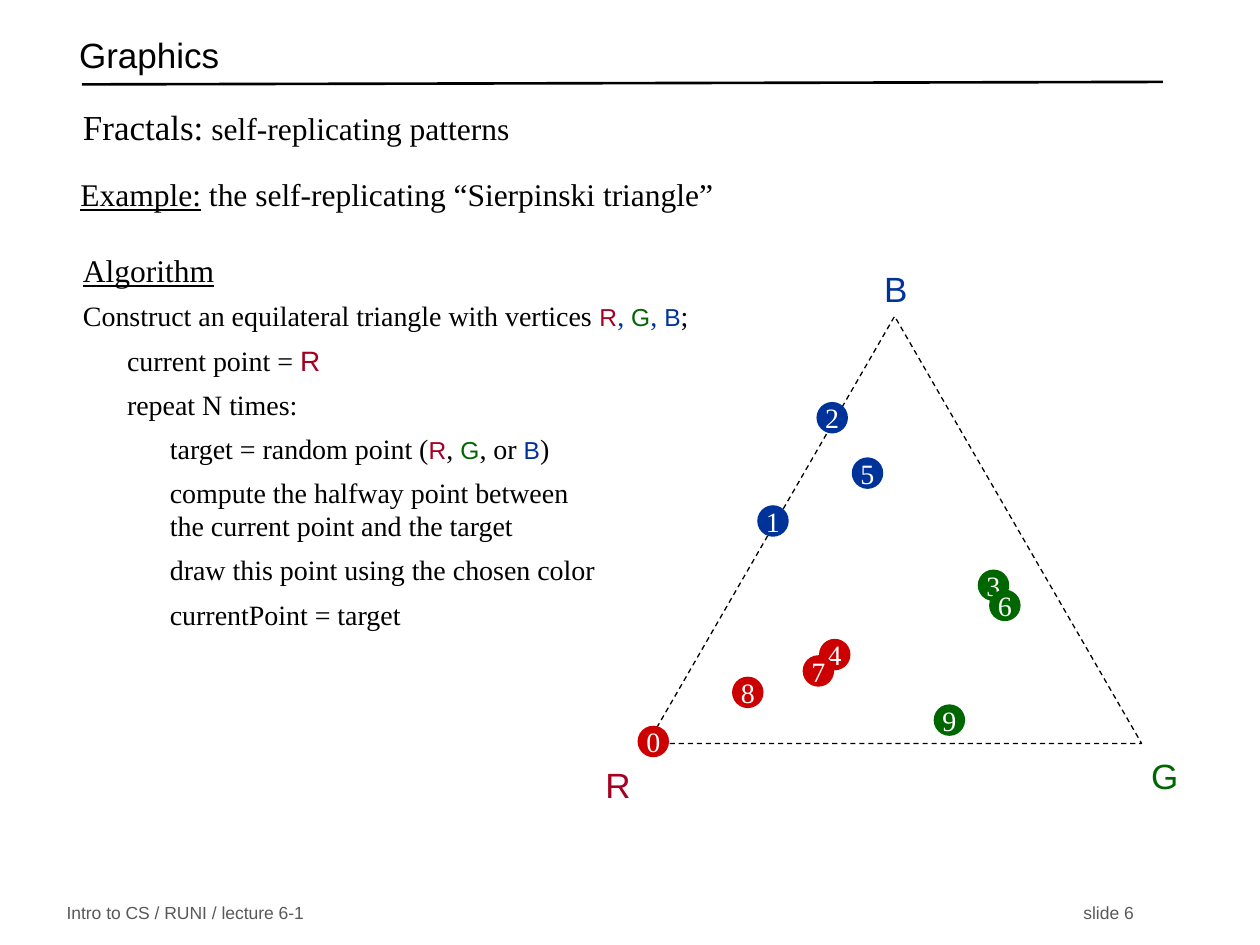
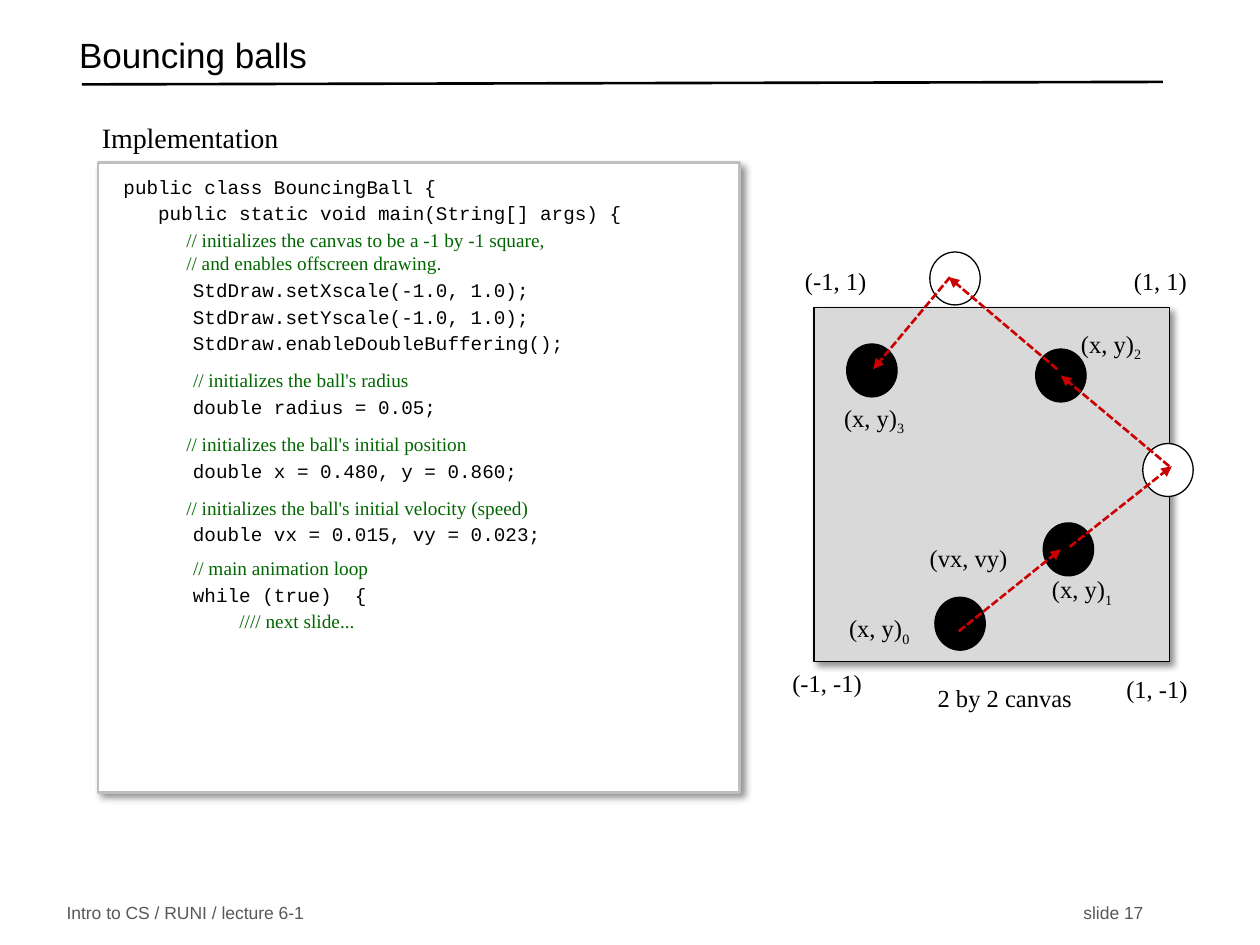
"""Builds two lecture slides: the Sierpinski triangle and the bouncing ball."""
from lxml import etree
from pptx import Presentation, util as u
from pptx.dml.color import RGBColor
from pptx.enum import dml, shapes, text
from pptx.oxml.ns import qn

COLUMNS, ROWS = 100, 75
SERIF, SANS, MONO = "Times New Roman", "Arial", "Courier New"
BLACK, WHITE, GREY = "000000", "FFFFFF", "595959"
RED, CRIMSON, GREEN, BLUE = "CC0000", "A50021", "006600", "003399"
VERTEX_COLORS = {"R": CRIMSON, "G": GREEN, "B": BLUE}
TEXT_INSETS = (1, 0.5, 1, 0.5)


def paint(hex_color):
    """Turn a hex string into a colour."""
    return RGBColor.from_string(hex_color)


def write(paragraph, words, font=SERIF, size=16, color=BLACK, underline=None, baseline=None):
    """Add formatted words to a paragraph, breaking lines at newlines."""
    for number, line in enumerate(words.split("\n")):
        if number:
            paragraph.add_line_break()
        run = paragraph.add_run()
        run.text = line
        run.font.name, run.font.size = font, u.Pt(size)
        run.font.color.rgb = paint(color)
        run.font.underline = underline
        if baseline:
            run.font._element.set("baseline", str(baseline * 1000))


def vertex(letter, size=14):
    """Describe a vertex letter in its own colour."""
    return letter, dict(font=SANS, size=size, color=VERTEX_COLORS[letter])


class Deck:
    """Holds the style, the grid and the current slide."""

    def __init__(self):
        """Open an empty deck with its grid."""
        self.show = Presentation()
        self.show.slide_width, self.show.slide_height = u.Inches(10), u.Inches(7.5)
        self.column = self.show.slide_width / COLUMNS
        self.row = self.show.slide_height / ROWS

    def place(self, *lengths):
        """Turn alternating columns and rows into lengths."""
        units = (self.column, self.row)
        return [u.Emu(round(length * units[i % 2])) for i, length in enumerate(lengths)]

    def page(self, title, number):
        """Start a slide with its title, rule and footer."""
        self.slide = self.show.slides.add_slide(self.show.slide_layouts[6])
        self.line((6.5, 6.7), (92.3, 6.5), BLACK)
        footer = dict(font=SANS, size=10, color=GREY)
        for left, width, words in ((4.3, 40, "Intro to CS / RUNI / lecture 6-1"),
                                   (85, 10, f"slide {number}")):
            self.box((left, 71.4, width, 2.1), [([(words, footer)], {})], middle=True)
        self.box((5.3, 2.2, 86, 5), [([(title, dict(font=SANS, size=20))], dict(spacing=0.7))],
                 middle=True)

    def fill_text(self, frame, paragraphs, middle=False, wrap=True, center=False,
                  insets=TEXT_INSETS):
        """Set paragraphs, each a list of runs and a layout, in a frame."""
        frame.word_wrap = wrap
        frame.vertical_anchor = text.MSO_ANCHOR.MIDDLE if middle else text.MSO_ANCHOR.TOP
        (frame.margin_left, frame.margin_top,
         frame.margin_right, frame.margin_bottom) = self.place(*insets)
        for number, (runs, layout) in enumerate(paragraphs):
            paragraph = frame.add_paragraph() if number else frame.paragraphs[0]
            paragraph.alignment = text.PP_ALIGN.CENTER if center else text.PP_ALIGN.LEFT
            if "indent" in layout:
                properties = paragraph._p.get_or_add_pPr()
                properties.set("marL", str(self.place(layout["indent"])[0]))
                properties.set("indent", "0")
            if "spacing" in layout:
                paragraph.line_spacing = layout["spacing"]
            if number:
                paragraph.space_before = u.Pt(layout.get("before", 0))
            for words, style in runs:
                write(paragraph, words, **style)

    def box(self, area, paragraphs, **layout):
        """Add a text box."""
        frame = self.slide.shapes.add_textbox(*self.place(*area)).text_frame
        self.fill_text(frame, paragraphs, **layout)

    def label(self, area, words, index=None, **style):
        """Add a one-line label with an optional subscript."""
        style = dict(size=14) | style
        runs = [(words, style)]
        if index is not None:
            runs.append((str(index), style | dict(baseline=-25)))
        self.box(area, [(runs, {})], wrap=False)

    def shape(self, kind, area, fill=None, line=None, width=0.75, dash=None, shadow=False):
        """Add a preset shape."""
        shape = self.slide.shapes.add_shape(kind, *self.place(*area))
        shape.shadow.inherit = False
        if fill:
            shape.fill.solid()
            shape.fill.fore_color.rgb = paint(fill)
        else:
            shape.fill.background()
        if line:
            shape.line.color.rgb, shape.line.width = paint(line), u.Pt(width)
            shape.line.dash_style = dash
        else:
            shape.line.fill.background()
        if shadow:
            effects = shape._element.spPr.find(qn("a:effectLst"))
            cast = etree.SubElement(effects, qn("a:outerShdw"), blurRad=str(u.Pt(4)),
                                    dist=str(u.Pt(3)), dir="2700000", algn="tl", rotWithShape="0")
            tint = etree.SubElement(cast, qn("a:srgbClr"), val=BLACK)
            etree.SubElement(tint, qn("a:alpha"), val="43000")
        return shape

    def line(self, start, end, color, arrow=False):
        """Add a straight line or a dashed arrow."""
        line = self.slide.shapes.add_connector(shapes.MSO_CONNECTOR.STRAIGHT,
                                               *self.place(*start, *end))
        line.line.color.rgb, line.line.width = paint(color), u.Pt(1.5)
        if arrow:
            line.line.dash_style = dml.MSO_LINE.SQUARE_DOT
            etree.SubElement(line.line._get_or_add_ln(), qn("a:tailEnd"), type="triangle")
        etree.SubElement(line._element.spPr, qn("a:effectLst"))


def fractals(deck):
    """Build the Sierpinski triangle slide."""
    deck.page("Graphics", 6)
    deck.box((5.6, 7.6, 85.6, 5.6), [([("Fractals:", dict(size=20)),
             (" self-replicating patterns", dict(size=18))], dict(spacing=u.Pt(26)))])
    deck.box((5.4, 13.4, 85.8, 4.7), [([("Example:", dict(size=18, underline=True)),
             (" the self-replicating “Sierpinski triangle”", dict(size=18))], {})])

    first, second = dict(indent=3.5, before=6), dict(indent=6.9, before=6)
    blue_comma = (", ", dict(color=BLUE))
    algorithm = [
        ([("Algorithm", dict(size=18, underline=True))], {}),
        ([("Construct an equilateral triangle with vertices ", {}), vertex("R"), blue_comma,
          vertex("G"), blue_comma, vertex("B"), (";", {})], dict(before=6)),
        ([("current point = ", {}), vertex("R", 16)], first),
        ([("repeat N times:", {})], first),
        ([("target = random point (", {}), vertex("R"), (", ", {}), vertex("G"),
          (", or ", {}), vertex("B"), (")", {})], second)]
    algorithm += [([(step, {})], second) for step in (
        "compute the halfway point between\nthe current point and the target",
        "draw this point using the chosen color",
        "currentPoint = target")]
    deck.box((5.6, 19.4, 54.5, 38), algorithm)

    deck.shape(shapes.MSO_SHAPE.ISOSCELES_TRIANGLE, (51.4, 25.1, 39.2, 33.9),
               line=BLACK, dash=dml.MSO_LINE.DASH)
    for letter, left, top, width in (("R", 43.2, 60.1, 11.7), ("G", 90.3, 59.4, 4.3),
                                     ("B", 67.4, 20.7, 7.4)):
        deck.box((left, top, width, 4.4), [([vertex(letter, 20)], {})], center=True)
    steps = ((50.6, 57.6, RED), (60.1, 40.1, BLUE), (64.8, 31.9, BLUE), (77.6, 45.2, GREEN),
             (65, 50.7, RED), (67.6, 36.3, BLUE), (78.5, 46.8, GREEN), (63.7, 52, RED),
             (58.1, 53.7, RED), (74.1, 55.9, GREEN))
    for number, (left, top, color) in enumerate(steps):
        point = deck.shape(shapes.MSO_SHAPE.OVAL, (left, top, 2.5, 2.5), color)
        deck.fill_text(point.text_frame, [([(str(number), dict(color=WHITE))], {})],
                       middle=True, wrap=False, center=True)


CODE = """public class BouncingBall {
   public static void main(String[] args) {
             // initializes the canvas to be a -1 by -1 square,
             // and enables offscreen drawing.
      StdDraw.setXscale(-1.0, 1.0);
      StdDraw.setYscale(-1.0, 1.0);
      StdDraw.enableDoubleBuffering();
      // initializes the ball's radius
      double radius = 0.05;
             // initializes the ball's initial position
      double x = 0.480, y = 0.860;
             // initializes the ball's initial velocity (speed)
      double vx = 0.015, vy = 0.023;
      // main animation loop
      while (true)  {
          //// next slide..."""
GAPS = {3: 0, 7: 8, 9: 8, 11: 8, 13: 6}


def code_runs(line):
    """Split a line of code into its code and its comment."""
    code, slashes, comment = line.partition("//")
    wide = len(code) == 13
    runs = [(code, dict(font=SERIF if wide else MONO, size=11))]
    if slashes:
        runs.append((slashes + comment, dict(size=11, color=GREEN)))
    return runs


def bouncing_balls(deck):
    """Build the bouncing ball slide."""
    deck.page("Bouncing balls", 17)
    deck.box((5.9, 9.1, 50, 3.7), [([("Implementation", {})], dict(indent=1.2))])
    listing = deck.shape(shapes.MSO_SHAPE.RECTANGLE, (7.8, 12.9, 50.9, 50), WHITE,
                         "BFBFBF", 1.25, shadow=True)
    deck.fill_text(listing.text_frame,
                   [(code_runs(line), dict(before=GAPS.get(number, 2)))
                    for number, line in enumerate(CODE.split("\n"))], insets=(2, 1, 0, 0))

    deck.shape(shapes.MSO_SHAPE.RECTANGLE, (64.6, 24.4, 28.2, 28.1), "D9D9D9", BLACK, shadow=True)
    inside, outside = "010000", WHITE
    for left, top, color in ((74.2, 47.4, inside), (82.8, 41.5, inside), (90.7, 35.2, outside),
                             (82.2, 27.7, inside), (73.8, 20, outside), (67.2, 27.3, inside)):
        deck.shape(shapes.MSO_SHAPE.OVAL, (left, top, 4, 4.2), color, BLACK)
    for start, end in (((76.1, 50.1), (84.2, 43.6)), ((84.9, 43.4), (93, 37)),
                       ((92.8, 37), (84.2, 29.8)), ((83.9, 29.3), (75.3, 22)),
                       ((75.4, 22), (69.3, 29.3))):
        deck.line(start, end, RED, arrow=True)
    for index, (left, top) in enumerate(((66.4, 48.2), (82.5, 45.1), (84.8, 25.6), (66, 31.5))):
        deck.label((left, top, 6.9, 3.4), "(x, y)", index)
    for words, left, top, width in (("(-1, -1)", 61.9, 52.5, 7.6), ("(1, 1)", 89, 20.6, 6.3),
                                    ("(1, -1)", 88.4, 53, 6.9), ("(-1, 1)", 62.9, 20.6, 6.9),
                                    ("(vx, vy)", 72.8, 42.6, 8.2)):
        deck.label((left, top, width, 3.4), words)
    caption = deck.shape(shapes.MSO_SHAPE.ROUNDED_RECTANGULAR_CALLOUT,
                         (71.3, 53.9, 16.5, 2.9), WHITE)
    caption.adjustments[0], caption.adjustments[1] = -0.04, 0.33
    deck.fill_text(caption.text_frame, [([("2 by 2 canvas", dict(size=14))], {})],
                   middle=True, center=True, insets=(0.4, 0.5, 0, 0.5))


def main():
    """Build and save the slides."""
    deck = Deck()
    fractals(deck)
    bouncing_balls(deck)
    deck.show.save("out.pptx")


if __name__ == "__main__":
    main()
